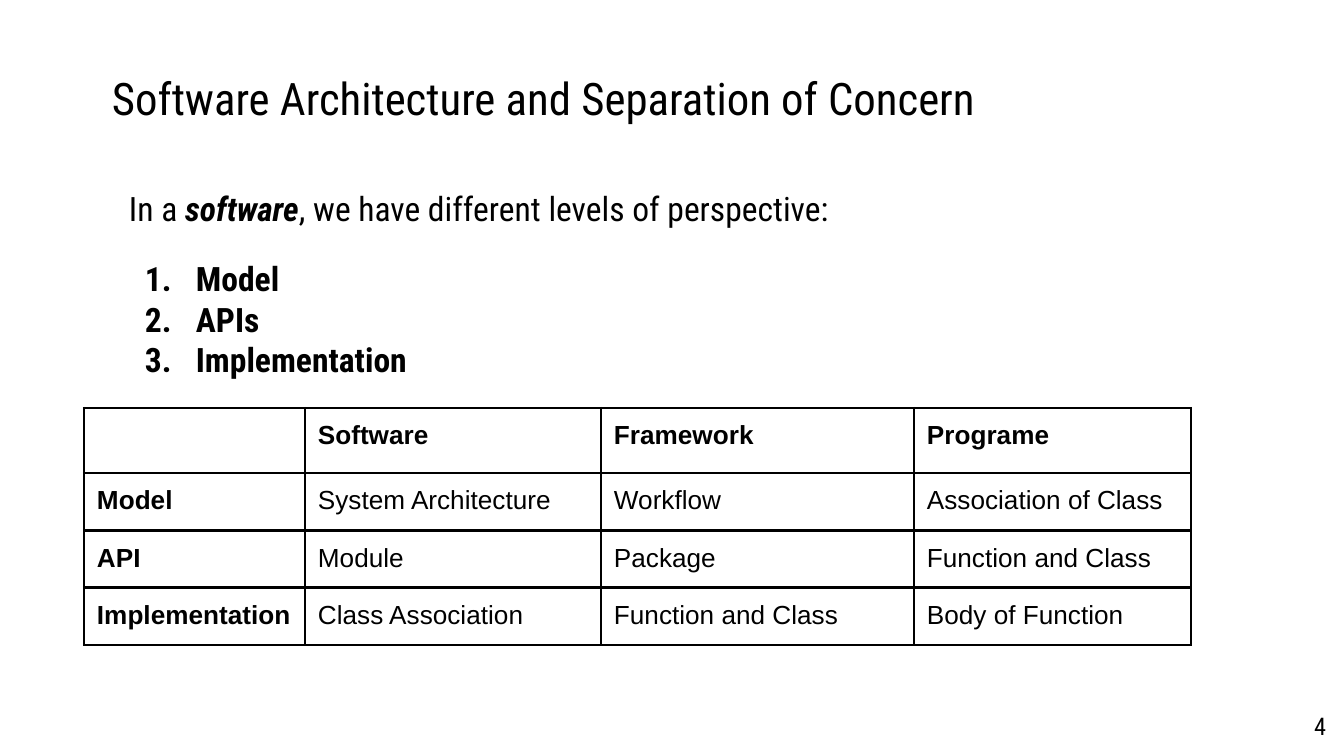
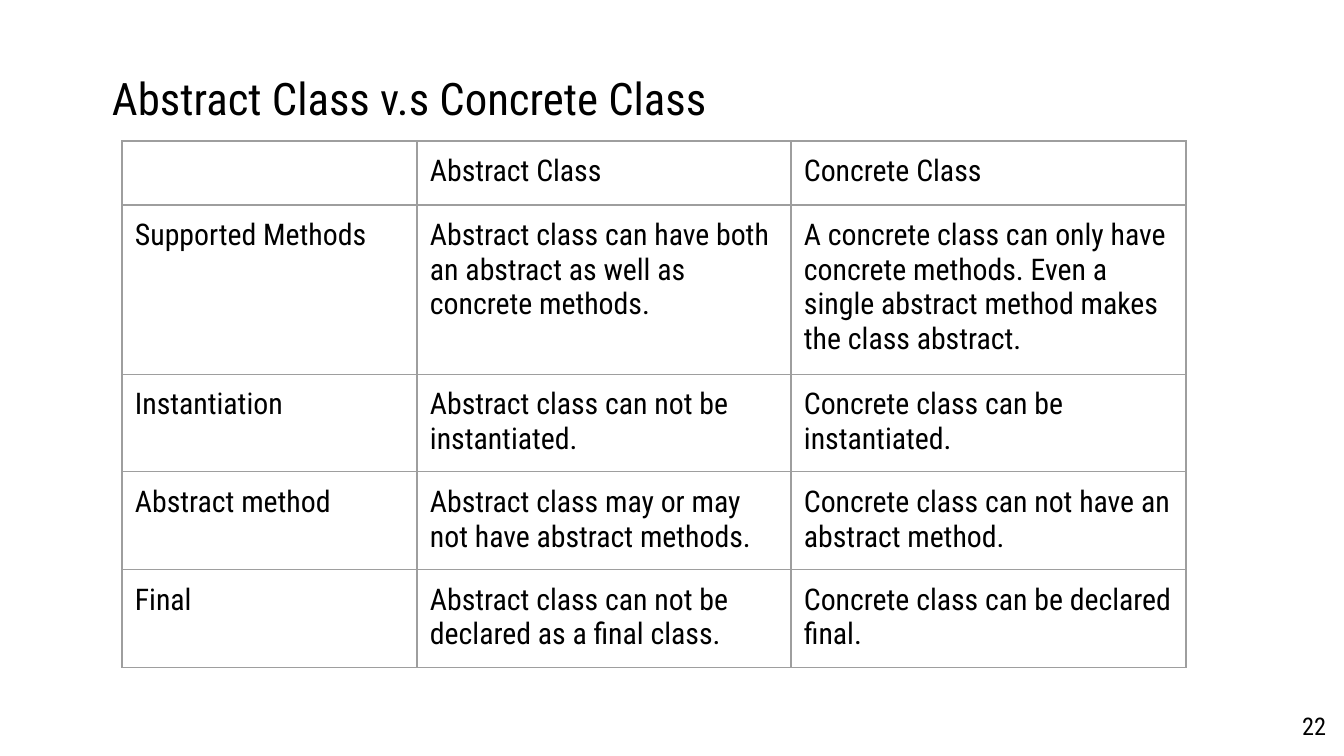
import pptx
import pptx.dml.color
import pptx.enum.text
import pptx.oxml.ns
import pptx.util
from lxml import etree

SCALE = 914400 / 134.4
INSET = 13
SANS = "Roboto Condensed"
BLACK = "000000"
GREY = "9E9E9E"

LEVELS = [
    ["", "Software", "Framework", "Programe"],
    ["Model", "System Architecture", "Workflow", "Association of Class"],
    ["API", "Module", "Package", "Function and Class"],
    ["Implementation", "Class Association", "Function and Class",
     "Body of Function"],
]
CLASSES = [
    ["", "Abstract Class", "Concrete Class"],
    ["Supported Methods",
     "Abstract class can have both an abstract as well as concrete methods.",
     "A concrete class can only have concrete methods. "
     "Even a single abstract method makes the class abstract."],
    ["Instantiation", "Abstract class can not be instantiated.",
     "Concrete class can be instantiated."],
    ["Abstract method", "Abstract class may or may not have abstract methods.",
     "Concrete class can not have an abstract method."],
    ["Final", "Abstract class can not be declared as a final class.",
     "Concrete class can be declared final."],
]


def px(n):
    return pptx.util.Emu(round(n * SCALE))


def color(code):
    return pptx.dml.color.RGBColor.from_string(code)


def node(parent, tag, **attrs):
    return etree.SubElement(parent, pptx.oxml.ns.qn("a:" + tag), attrs)


def style(par, size, face=SANS, bold=False):
    par.font.name = face
    par.font.size = pptx.util.Pt(size)
    par.font.bold = bold
    par.font.color.rgb = color(BLACK)


def pad(item):
    item.margin_left = item.margin_right = px(INSET)
    item.margin_top = item.margin_bottom = px(INSET)


# Text boxes
def add_box(slide, left, top, width, height):
    box = slide.shapes.add_textbox(px(left), px(top), px(width), px(height))
    frame = box.text_frame
    frame.word_wrap = True
    pad(frame)
    return frame


def add_line(slide, place, text, size, align=None):
    par = add_box(slide, *place).paragraphs[0]
    par.text = text
    par.alignment = align
    style(par, size)


def add_item(frame, text, gap):
    par = frame.add_paragraph()
    par.text = text
    par.space_before = pptx.util.Pt(gap)
    props = par._p.get_or_add_pPr()
    props.set("marL", str(px(67)))
    props.set("indent", str(px(-51)))
    node(node(props, "buClr"), "srgbClr", val=BLACK)
    node(props, "buFont", typeface=SANS)
    node(props, "buAutoNum", type="arabicPeriod")
    style(par, 18, bold=True)


def add_body(slide):
    frame = add_box(slide, 116, 175, 1046, 458)
    intro = frame.paragraphs[0]
    for text in ("In a ", "software", ", we have different levels of perspective:"):
        run = intro.add_run()
        run.text = text
        if text == "software":
            run.font.bold = run.font.italic = True
    style(intro, 18)
    for i, text in enumerate(["Model", "APIs", "Implementation"]):
        add_item(frame, text, 0 if i else 16)


# Tables
def set_edges(cell, code, weight):
    props = cell._tc.get_or_add_tcPr()
    for i, side in enumerate("LRTB"):
        line = node(props, "ln" + side, w=str(pptx.util.Pt(weight)))
        node(node(line, "solidFill"), "srgbClr", val=code)
        props.insert(i, line)


def add_table(slide, left, top, cols, rows, data, edge, size, face, heads):
    frame = slide.shapes.add_table(len(rows), len(cols), px(left), px(top),
                                   px(sum(cols)), px(sum(rows)))
    table = frame.table
    table.first_row = table.horz_banding = False
    for col, width in zip(table.columns, cols):
        col.width = px(width)
    for r, (row, texts) in enumerate(zip(rows, data)):
        table.rows[r].height = px(row)
        for c, text in enumerate(texts):
            cell = table.cell(r, c)
            pad(cell)
            cell.fill.background()
            set_edges(cell, *edge)
            par = cell.text_frame.paragraphs[0]
            if text:
                par.text = text
                style(par, size, face, heads and 0 in (r, c))
            else:
                node(par._p, "endParaRPr", sz=str(size * 100))


# Title and page number shared by the slides
def add_slide(deck, title, page):
    slide = deck.slides.add_slide(deck.slide_layouts[6])
    add_line(slide, (99, 58, 1253, 85), title, 24)
    add_line(slide, (1258, 698, 81, 58), page, 13,
             pptx.enum.text.PP_ALIGN.RIGHT)
    return slide


def main():
    deck = pptx.Presentation()
    deck.slide_width, deck.slide_height = px(1344), px(756)

    # Levels of perspective
    slide = add_slide(deck, "Software Architecture and Separation of Concern", "4")
    add_body(slide)
    add_table(slide, 84, 408, [221, 296, 313, 277], [65, 56, 56, 56],
              LEVELS, (BLACK, 1.5), 14, "Arial", True)

    # Kinds of class
    slide = add_slide(deck, "Abstract Class v.s Concrete Class", "22")
    add_table(slide, 122, 141, [295, 374, 395], [64, 166, 96, 96, 96],
              CLASSES, (GREY, 0.75), 16, SANS, False)

    deck.save("out.pptx")


if __name__ == "__main__":
    main()
